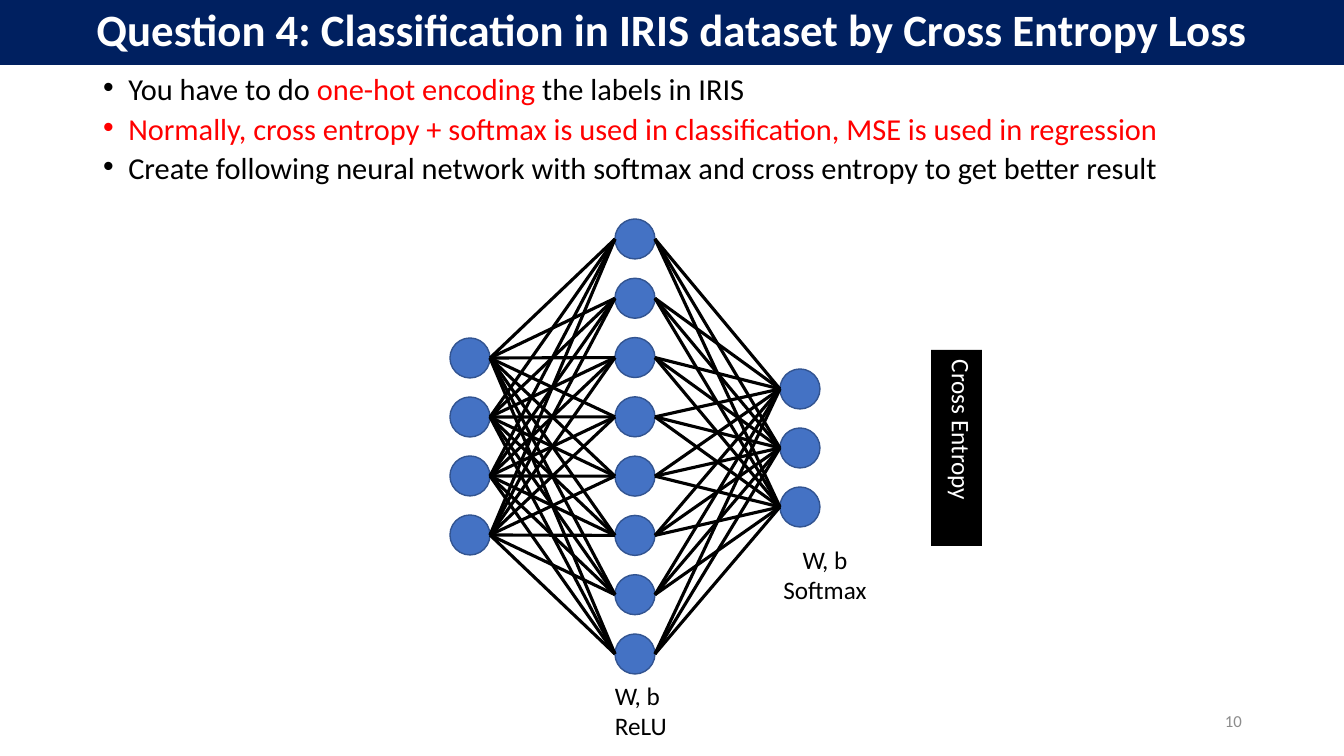
import dataclasses
import itertools
import typing

import lxml.etree
import pptx
import pptx.dml.color
import pptx.enum.shapes
import pptx.enum.text
import pptx.oxml.ns
import pptx.util

EMU_PER_PIXEL = 914400 / 100.8
ALIGN = pptx.enum.text.PP_ALIGN
ANCHOR = pptx.enum.text.MSO_ANCHOR
SHAPE = pptx.enum.shapes.MSO_SHAPE


@dataclasses.dataclass(frozen=True)
class Theme:
    font: str = "Calibri"
    navy: str = "002060"
    node: str = "4472C4"
    node_edge: str = "325491"
    black: str = "000000"
    white: str = "FFFFFF"
    red: str = "FF0000"
    grey: str = "8C8C8C"
    title_size: float = 32
    body_size: float = 21.7
    label_size: float = 18
    number_size: float = 12
    node_edge_width: float = 1
    link_width: float = 2.25


THEME = Theme()


class Box(typing.NamedTuple):
    left: int
    top: int
    width: int
    height: int


class Span(typing.NamedTuple):
    text: str
    color: str = THEME.black


class Layer(typing.NamedTuple):
    center_x: int
    first_y: int
    last_y: int
    count: int

    def centers(self) -> list[float]:
        pitch = (self.last_y - self.first_y) / (self.count - 1)
        return [self.first_y + pitch * index for index in range(self.count)]


class Label(typing.NamedTuple):
    box: Box
    lines: list[list[Span]]
    size: float = THEME.label_size
    align: ALIGN = ALIGN.LEFT
    anchor: ANCHOR = ANCHOR.TOP
    fill: str | None = None
    direction: str = "horz"


def px(length: float) -> int:
    return round(length * EMU_PER_PIXEL)


def rgb(color: str) -> pptx.dml.color.RGBColor:
    return pptx.dml.color.RGBColor.from_string(color)


def place(shape, box: Box) -> None:
    shape.left, shape.top, shape.width, shape.height = map(px, box)


def add_bullet(paragraph) -> None:
    properties = paragraph._p.get_or_add_pPr()
    properties.set("marL", str(pptx.util.Inches(0.25)))
    properties.set("indent", str(-pptx.util.Inches(0.25)))
    for tag, attribute, value in (("a:buFont", "typeface", "Arial"), ("a:buChar", "char", "•")):
        lxml.etree.SubElement(properties, pptx.oxml.ns.qn(tag)).set(attribute, value)


def write(frame, lines: list[list[Span]], *, size: float, align: ALIGN = ALIGN.LEFT,
          anchor: ANCHOR = ANCHOR.TOP, bold: bool = False, line_spacing: float = 1.0,
          space_before: float = 0, bullet: bool = False) -> None:
    frame.word_wrap = True
    frame.auto_size = pptx.enum.text.MSO_AUTO_SIZE.NONE
    frame.vertical_anchor = anchor
    for index, line in enumerate(lines):
        paragraph = frame.add_paragraph() if index else frame.paragraphs[0]
        paragraph.alignment = align
        paragraph.line_spacing = line_spacing
        paragraph.space_before = pptx.util.Pt(space_before)
        if bullet:
            add_bullet(paragraph)
        for span in line:
            run = paragraph.add_run()
            run.text = span.text
            run.font.name = THEME.font
            run.font.size = pptx.util.Pt(size)
            run.font.bold = bold
            run.font.color.rgb = rgb(span.color)


def add_filled(slide, kind: SHAPE, box: Box, fill: str, edge: str | None = None):
    shape = slide.shapes.add_shape(kind, *map(px, box))
    shape.shadow.inherit = False
    shape.fill.solid()
    shape.fill.fore_color.rgb = rgb(fill)
    if edge:
        shape.line.color.rgb = rgb(edge)
        shape.line.width = pptx.util.Pt(THEME.node_edge_width)
    else:
        shape.line.fill.background()
    return shape


def add_nodes(slide, layer: Layer) -> None:
    for center_y in layer.centers():
        box = Box(layer.center_x - NODE_RADIUS, center_y - NODE_RADIUS,
                  2 * NODE_RADIUS, 2 * NODE_RADIUS)
        add_filled(slide, SHAPE.OVAL, box, THEME.node, THEME.node_edge)


def add_links(slide, source: Layer, target: Layer) -> None:
    start_x = px(source.center_x + NODE_RADIUS)
    end_x = px(target.center_x - NODE_RADIUS)
    for start_y, end_y in itertools.product(source.centers(), target.centers()):
        link = slide.shapes.add_connector(pptx.enum.shapes.MSO_CONNECTOR.STRAIGHT,
                                          start_x, px(start_y), end_x, px(end_y))
        link.line.color.rgb = rgb(THEME.black)
        link.line.width = pptx.util.Pt(THEME.link_width)
        lxml.etree.SubElement(link._element.spPr, pptx.oxml.ns.qn("a:effectLst"))


def add_label(slide, label: Label) -> None:
    caption = slide.shapes.add_textbox(*map(px, label.box))
    if label.fill:
        caption.fill.solid()
        caption.fill.fore_color.rgb = rgb(label.fill)
    write(caption.text_frame, label.lines, size=label.size, align=label.align,
          anchor=label.anchor)
    caption.text_frame._txBody.bodyPr.set("vert", label.direction)


NODE_RADIUS = 20
LAYERS = [
    Layer(470, 358, 535, 4),
    Layer(635, 239, 654, 8),
    Layer(800, 389, 507, 3),
]
LABELS = [
    Label(Box(950, 701, 302, 40), [[Span("10", THEME.grey)]], THEME.number_size,
          ALIGN.RIGHT, ANCHOR.MIDDLE),
    Label(Box(605, 675, 83, 72), [[Span("W, b")], [Span("ReLU")]]),
    Label(Box(743, 539, 164, 72), [[Span("W, b")], [Span("Softmax")]], align=ALIGN.CENTER),
    Label(Box(931, 350, 51, 196), [[Span("Cross Entropy", THEME.white)]],
          fill=THEME.black, direction="eaVert"),
]
HEADING = "Question 4: Classification in IRIS dataset by Cross Entropy Loss"
INSTRUCTIONS = [
    [Span("You have to do "), Span("one-hot encoding ", THEME.red), Span("the labels in IRIS")],
    [Span("Normally, cross entropy + softmax is used in classification, "
          "MSE is used in regression", THEME.red)],
    [Span("Create following neural network with softmax and cross entropy "
          "to get better result")],
]

presentation = pptx.Presentation()
presentation.slide_width, presentation.slide_height = px(1344), px(756)
slide = presentation.slides.add_slide(presentation.slide_layouts[1])

banner = add_filled(slide, SHAPE.RECTANGLE, Box(0, 0, 1344, 65), THEME.navy)
slide.shapes._spTree.insert(2, banner._element)

heading, instructions = slide.placeholders
place(heading, Box(0, 3, 1344, 58))
write(heading.text_frame, [[Span(HEADING, THEME.white)]], size=THEME.title_size,
      align=ALIGN.CENTER, anchor=ANCHOR.MIDDLE, bold=True, line_spacing=0.9)
place(instructions, Box(93, 75, 1159, 132))
write(instructions.text_frame, INSTRUCTIONS, size=THEME.body_size, line_spacing=0.7,
      space_before=10, bullet=True)

for layer in LAYERS:
    add_nodes(slide, layer)
for source, target in itertools.pairwise(LAYERS):
    add_links(slide, source, target)
for label in LABELS:
    add_label(slide, label)

presentation.save("out.pptx")
